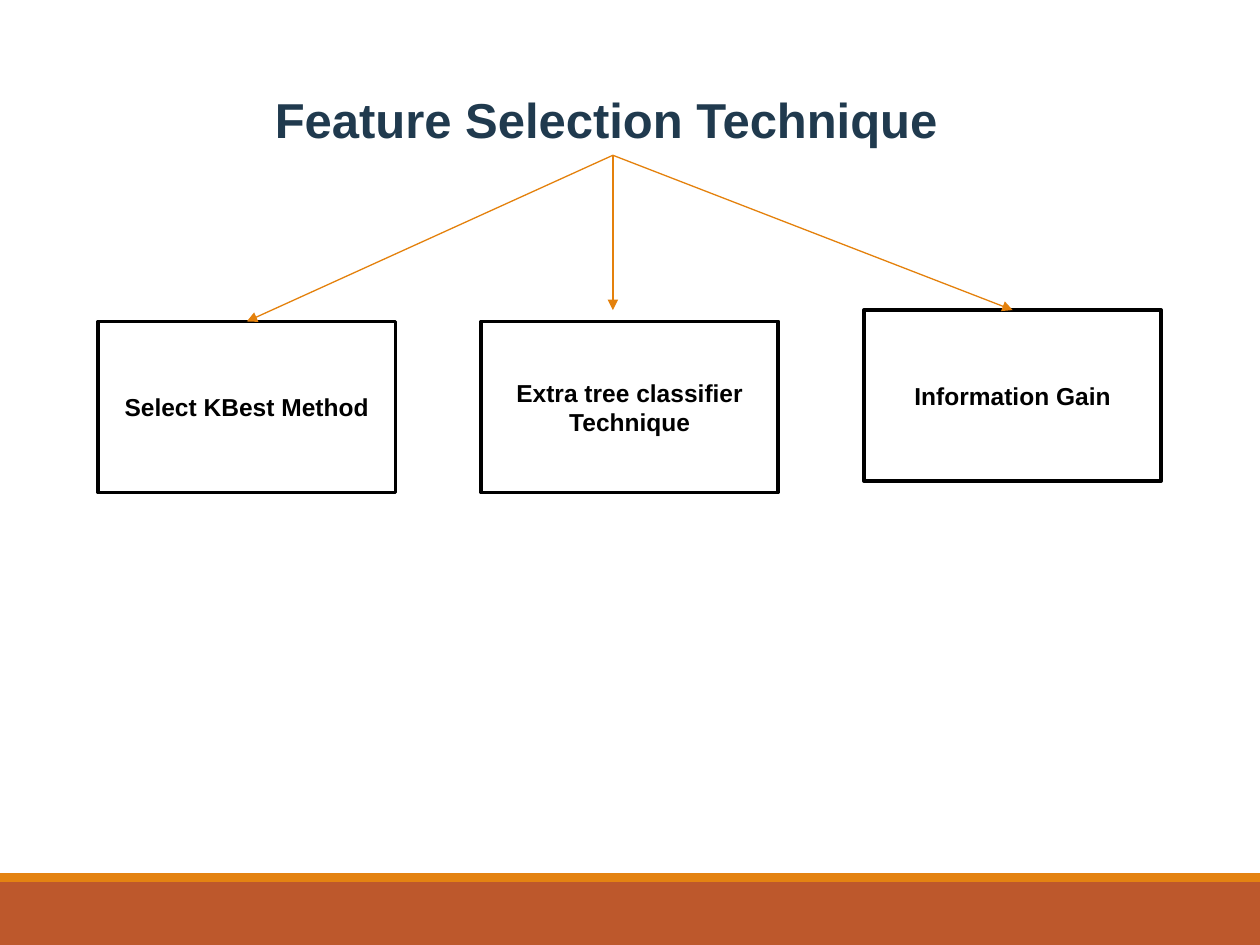
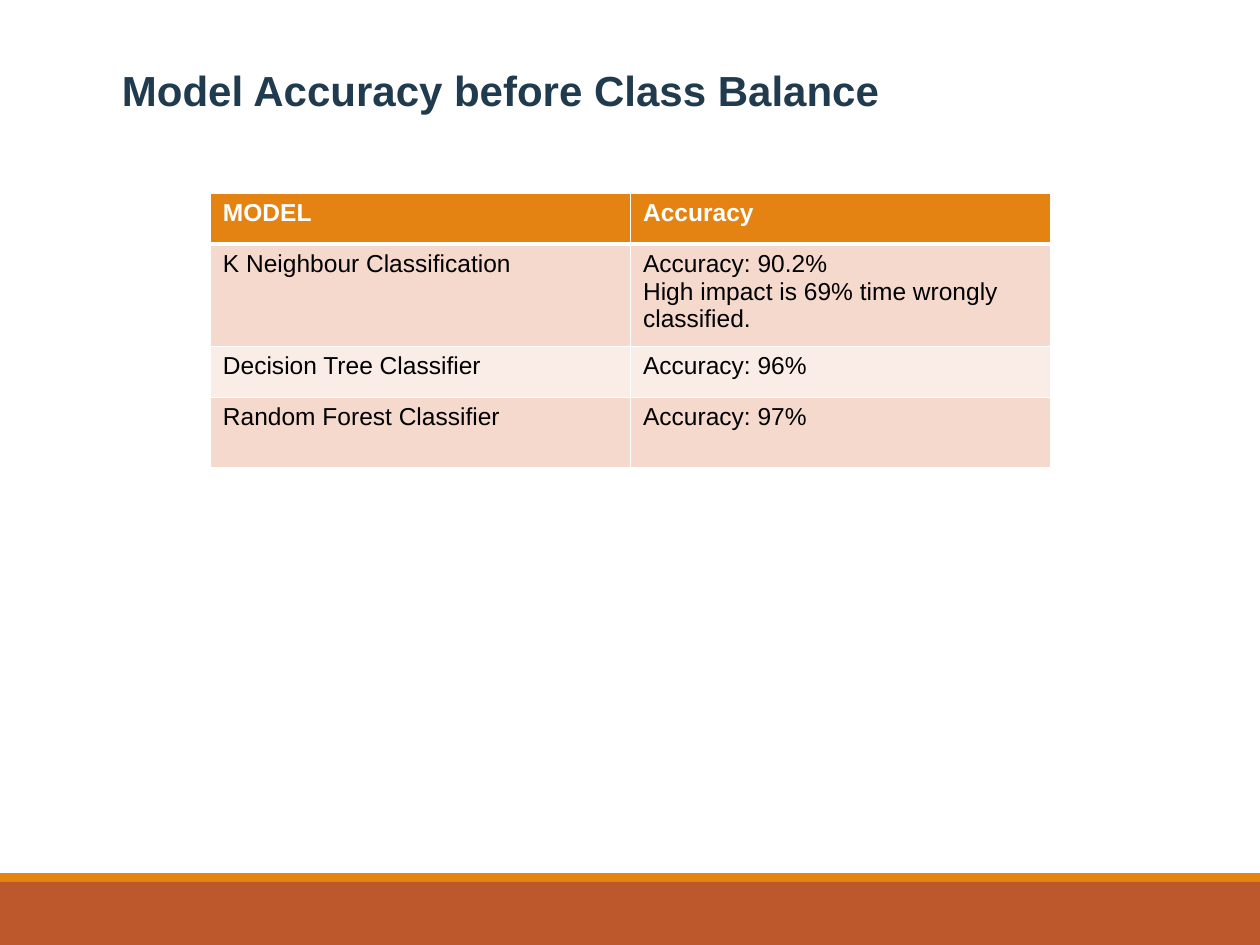
from dataclasses import dataclass

from lxml import etree
from pptx import Presentation
from pptx.dml.color import RGBColor
from pptx.enum.shapes import MSO_CONNECTOR, MSO_SHAPE
from pptx.enum.text import MSO_ANCHOR, PP_ALIGN
from pptx.oxml.ns import qn
from pptx.util import Cm, Pt

RECTANGLE = MSO_SHAPE.RECTANGLE
STRAIGHT = MSO_CONNECTOR.STRAIGHT
TOP, MIDDLE, BOTTOM = MSO_ANCHOR.TOP, MSO_ANCHOR.MIDDLE, MSO_ANCHOR.BOTTOM
LEFT, CENTER = PP_ALIGN.LEFT, PP_ALIGN.CENTER
TOP_SIDE, BOTTOM_SIDE = 0, 2


@dataclass(frozen=True)
class Theme:
    font: str = "Arial"
    white: str = "FFFFFF"
    black: str = "000000"
    navy: str = "203A4E"
    rust: str = "BD582C"
    orange: str = "E48312"
    arrow: str = "E4810C"
    row_dark: str = "F5D9CC"
    row_light: str = "FAEDE7"
    main_title: int = 28
    table_title: int = 24
    body: int = 14


THEME = Theme()
SLIDE_WIDTH, SLIDE_HEIGHT = 25.4, 19.05
METHODS = [  # text, top of box
    ("Select KBest Method", 6.48),
    ("Extra tree classifier Technique", 6.48),
    ("Information Gain", 6.25),
]
ACCURACY_ROWS = [  # height, cells as lists of paragraphs
    (1.03, [["MODEL"], ["Accuracy"]]),
    (2.06, [["K Neighbour Classification"],
            ["Accuracy: 90.2%", "High impact is 69% time wrongly classified."]]),
    (1.03, [["Decision Tree Classifier"], ["Accuracy: 96%"]]),
    (1.42, [["Random Forest Classifier"], ["Accuracy: 97%"]]),
]


def color(value):
    return RGBColor.from_string(value)


def write(frame, lines, size, ink, bold=True, align=LEFT, spacing=None):
    frame.word_wrap = True
    for index, line in enumerate(lines):
        para = frame.add_paragraph() if index else frame.paragraphs[0]
        para.alignment = align
        para.line_spacing = spacing
        span = para.add_run()
        span.text = line
        span.font.name = THEME.font
        span.font.size = Pt(size)
        span.font.bold = bold
        span.font.color.rgb = color(ink)


def add_rectangle(page, left, top, width, height, fill, outline=None):
    box = page.shapes.add_shape(RECTANGLE, Cm(left), Cm(top), Cm(width), Cm(height))
    box.shadow.inherit = False
    box.fill.solid()
    box.fill.fore_color.rgb = color(fill)
    if outline:
        box.line.color.rgb = color(outline)
        box.line.width = Pt(2)
    else:
        box.line.fill.background()
    return box


def add_page(deck):
    """Add a blank page with the two footer bands."""
    page = deck.slides.add_slide(deck.slide_layouts[6])
    add_rectangle(page, 0, 17.78, SLIDE_WIDTH, 1.27, THEME.rust)
    add_rectangle(page, 0, 17.6, SLIDE_WIDTH, 0.18, THEME.orange)
    return page


def add_title(page, text, left, top, width, height, size,
              align=LEFT, anchor=TOP, spacing=None):
    title = page.shapes.add_textbox(Cm(left), Cm(top), Cm(width), Cm(height))
    title.text_frame.vertical_anchor = anchor
    write(title.text_frame, [text], size, THEME.navy, align=align, spacing=spacing)
    return title


def add_method_box(page, text, left, top):
    box = add_rectangle(page, left, top, 5.99, 3.45, THEME.white, THEME.black)
    box.text_frame.vertical_anchor = MIDDLE
    write(box.text_frame, [text], THEME.body, THEME.black, align=CENTER)
    return box


def add_arrow(page, title, end_x, end_y):
    """Draw an arrow from the bottom of the title to a point."""
    arrow = page.shapes.add_connector(STRAIGHT, 0, 0, end_x, end_y)
    arrow.begin_connect(title, BOTTOM_SIDE)
    arrow.line.color.rgb = color(THEME.arrow)
    arrow.line.width = Pt(0.75)
    line = arrow.line._get_or_add_ln()
    etree.SubElement(line, qn("a:tailEnd"), type="triangle")
    etree.SubElement(arrow._element.spPr, qn("a:effectLst"))
    return arrow


def set_borders(cell, top, bottom):
    properties = cell._tc.get_or_add_tcPr()
    widths = {"lnL": 1, "lnR": 1, "lnT": top, "lnB": bottom}
    for index, (side, width) in enumerate(widths.items()):
        line = etree.Element(qn(f"a:{side}"), w=str(Pt(width)))
        fill = etree.SubElement(line, qn("a:solidFill"))
        etree.SubElement(fill, qn("a:srgbClr"), val=THEME.white)
        properties.insert(index, line)


def add_accuracy_table(page, left, top, column_width):
    column_count = len(ACCURACY_ROWS[0][1])
    height = sum(row_height for row_height, _ in ACCURACY_ROWS)
    table = page.shapes.add_table(
        len(ACCURACY_ROWS), column_count, Cm(left), Cm(top),
        Cm(column_width * column_count), Cm(height)).table
    for row, (row_height, texts) in enumerate(ACCURACY_ROWS):
        table.rows[row].height = Cm(row_height)
        header = row == 0
        band = THEME.row_dark if row % 2 else THEME.row_light
        for column, lines in enumerate(texts):
            cell = table.cell(row, column)
            cell.fill.solid()
            cell.fill.fore_color.rgb = color(THEME.orange if header else band)
            set_borders(cell, top=3 if row == 1 else 1, bottom=3 if header else 1)
            write(cell.text_frame, lines, THEME.body,
                  THEME.white if header else THEME.black, bold=header)


def build_technique_page(deck):
    page = add_page(deck)
    title = add_title(page, "Feature Selection Technique ", -0.69, 0.79, 26.09, 2.34,
                      THEME.main_title, CENTER, BOTTOM, 0.85)
    boxes = [add_method_box(page, text, 1.98 + 7.72 * index, top)
             for index, (text, top) in enumerate(METHODS)]
    for box in (boxes[0], boxes[2]):
        arrow = add_arrow(page, title, box.left, box.top)
        arrow.end_connect(box, TOP_SIDE)
    add_arrow(page, title, title.left + title.width // 2, boxes[2].top)


def build_accuracy_page(deck):
    page = add_page(deck)
    add_title(page, "Model Accuracy before Class Balance", 2.21, 1.17, 17.3, 1.27,
              THEME.table_title)
    add_accuracy_table(page, 4.24, 3.89, 8.47)


def main():
    deck = Presentation()
    deck.slide_width, deck.slide_height = Cm(SLIDE_WIDTH), Cm(SLIDE_HEIGHT)
    build_technique_page(deck)
    build_accuracy_page(deck)
    deck.save("out.pptx")


if __name__ == "__main__":
    main()
